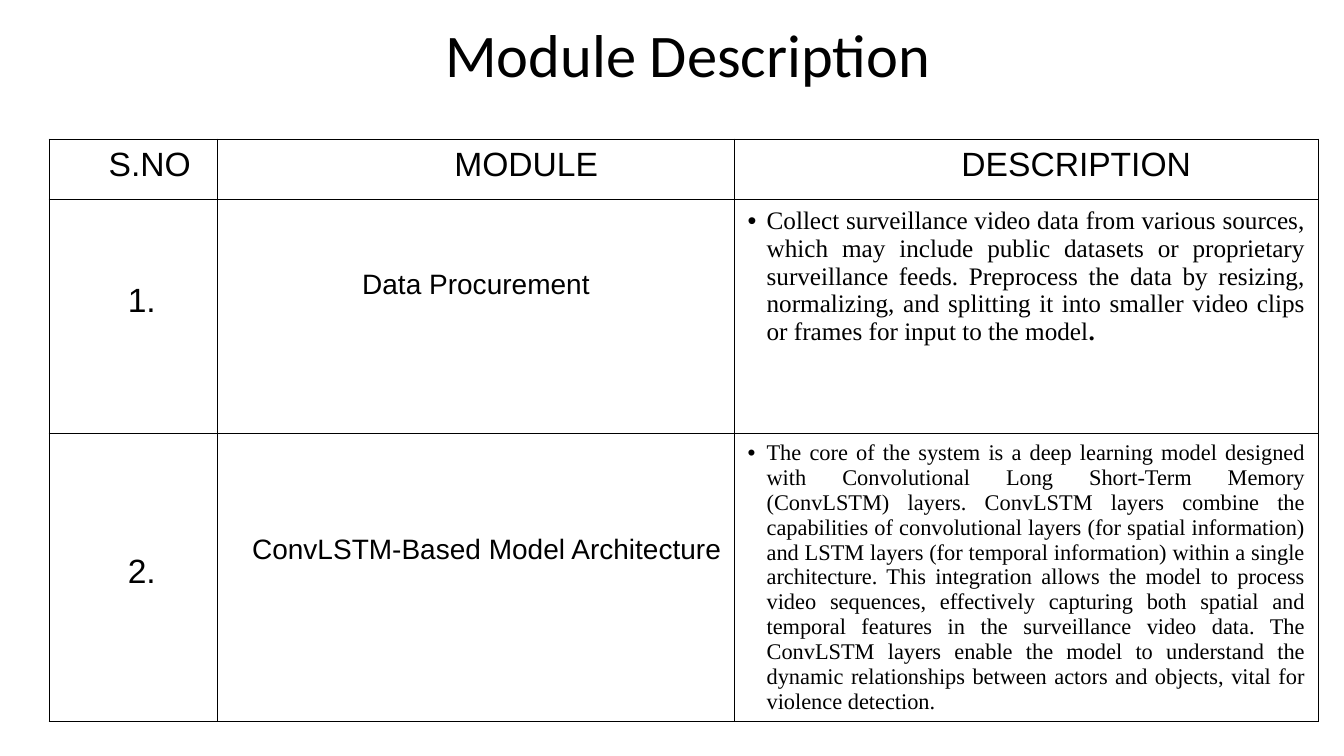
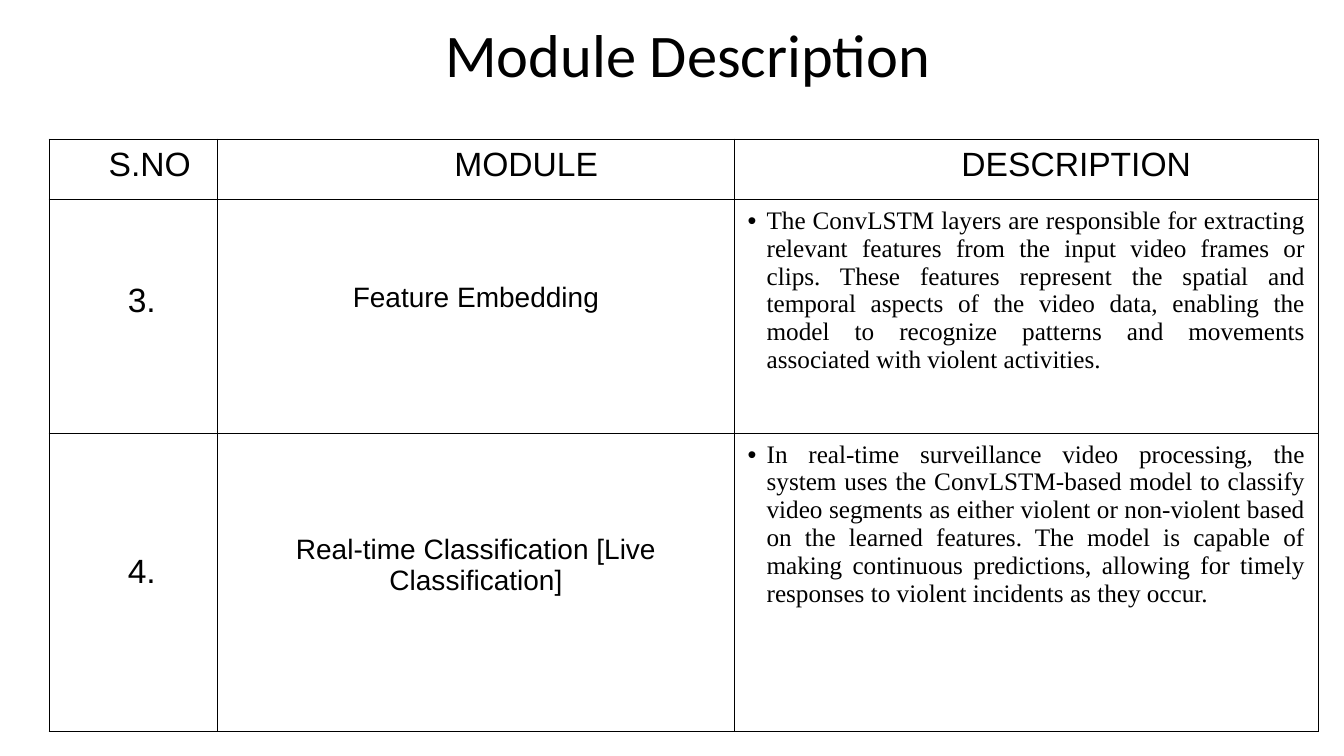
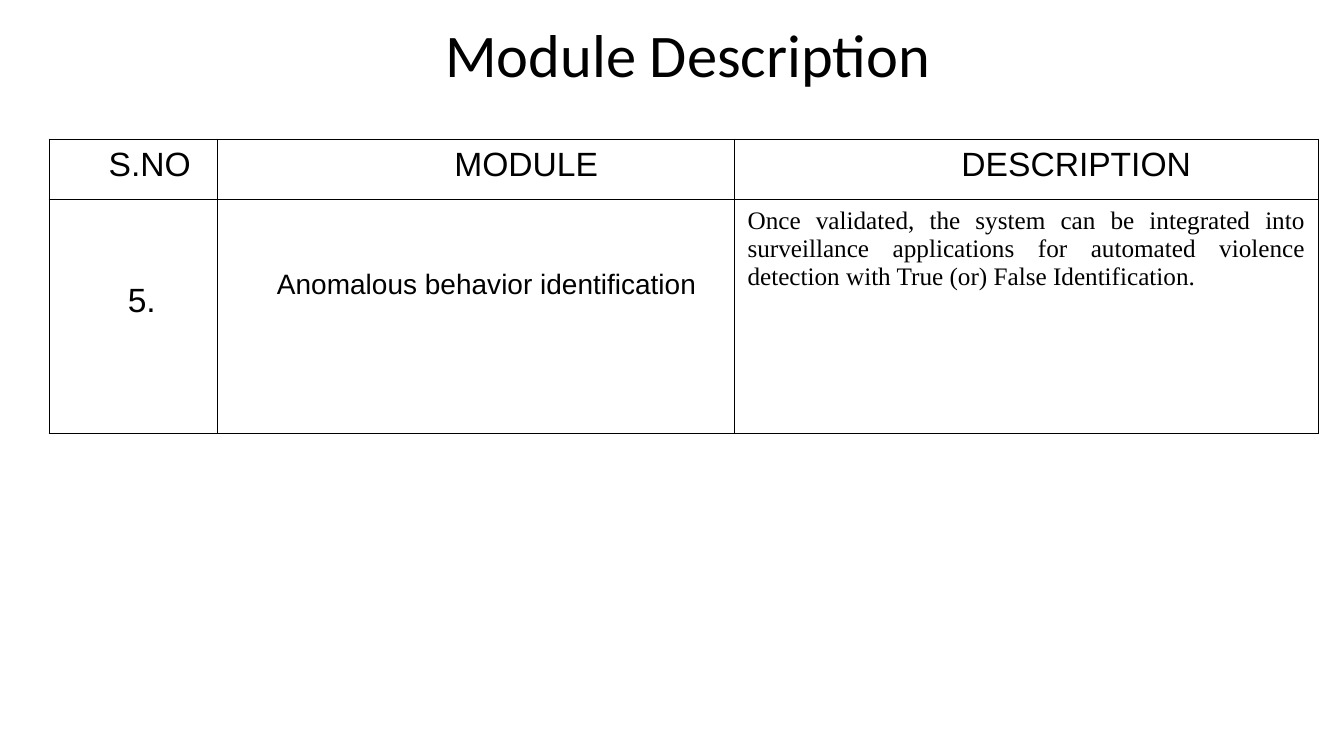
from dataclasses import dataclass

from lxml.etree import SubElement
from pptx import Presentation
from pptx.dml.color import RGBColor
from pptx.enum.text import MSO_ANCHOR, MSO_AUTO_SIZE, PP_ALIGN
from pptx.oxml.ns import qn
from pptx.util import Cm, Pt

BLACK = RGBColor(0x00, 0x00, 0x00)
WHITE = RGBColor(0xFF, 0xFF, 0xFF)

TITLE = "Module Description"
HEADINGS = [("S.NO", 1.5), ("MODULE", 5.97), ("DESCRIPTION", 5.72)]
COLUMN_WIDTHS = [4.24, 13.03, 14.71]
HEADING_HEIGHT = 1.52
NUMBER_TOPS = [2.07, 3.02]


@dataclass
class Module:
    number: str
    name: str
    name_top: float
    description: str
    height: float
    name_indent: float = 0
    description_size: int = 18
    bold_ending: str = ""
    bulleted: bool = True


SLIDES = [
    [
        Module(
            "1.", "Data Procurement", 1.76,
            "Collect surveillance video data from various sources, which may include "
            "public datasets or proprietary surveillance feeds. Preprocess the data by "
            "resizing, normalizing, and splitting it into smaller video clips or frames "
            "for input to the model",
            5.89, bold_ending=".",
        ),
        Module(
            "2.", "ConvLSTM-Based Model Architecture", 2.54,
            "The core of the system is a deep learning model designed with Convolutional "
            "Long Short-Term Memory (ConvLSTM) layers. ConvLSTM layers combine the "
            "capabilities of convolutional layers (for spatial information) and LSTM "
            "layers (for temporal information) within a single architecture. This "
            "integration allows the model to process video sequences, effectively "
            "capturing both spatial and temporal features in the surveillance video "
            "data. The ConvLSTM layers enable the model to understand the dynamic "
            "relationships between actors and objects, vital for violence detection.",
            7.23, name_indent=0.54, description_size=16,
        ),
    ],
    [
        Module(
            "3.", "Feature Embedding", 2.07,
            "The ConvLSTM layers are responsible for extracting relevant features from "
            "the input video frames or clips. These features represent the spatial and "
            "temporal aspects of the video data, enabling the model to recognize "
            "patterns and movements associated with violent activities.",
            5.89, name_indent=-0.2,
        ),
        Module(
            "4.", "Real-time Classification [Live Classification]", 2.54,
            "In real-time surveillance video processing, the system uses the "
            "ConvLSTM-based model to classify video segments as either violent or "
            "non-violent based on the learned features. The model is capable of making "
            "continuous predictions, allowing for timely responses to violent incidents "
            "as they occur.",
            7.52,
        ),
    ],
    [
        Module(
            "5.", "Anomalous behavior identification", 1.76,
            "Once validated, the system can be integrated into surveillance applications "
            "for automated violence detection with True (or) False Identification.",
            5.89, name_indent=0.54, bulleted=False,
        ),
    ],
]


class ModuleDeck:
    heading_font = "Calibri"
    label_font = "Arial"
    body_font = "Times New Roman"
    side_margin = 0.33
    top_margin = 0.18

    def __init__(self):
        self.presentation = Presentation()
        self.presentation.slide_width = Cm(33.87)
        self.presentation.slide_height = Cm(19.05)
        self.slide = None

    def add_slide(self):
        self.slide = self.presentation.slides.add_slide(self.presentation.slide_layouts[5])
        self.slide.background.fill.solid()
        self.slide.background.fill.fore_color.rgb = WHITE

    def style(self, paragraph, font_name, size, alignment=PP_ALIGN.LEFT):
        paragraph.alignment = alignment
        paragraph.font.name = font_name
        paragraph.font.size = Pt(size)
        paragraph.font.bold = False
        paragraph.font.color.rgb = BLACK

    def title(self, text):
        heading = self.slide.shapes.title
        heading.left, heading.top = Cm(2.41), Cm(0.61)
        heading.width, heading.height = Cm(29.85), Cm(1.7)
        frame = heading.text_frame
        frame.text = text
        frame.word_wrap = True
        frame.auto_size = MSO_AUTO_SIZE.NONE
        frame.vertical_anchor = MSO_ANCHOR.MIDDLE
        frame.margin_left = frame.margin_right = Cm(0.25)
        frame.margin_top = frame.margin_bottom = Cm(0.25)
        paragraph = frame.paragraphs[0]
        self.style(paragraph, self.heading_font, 43.2, PP_ALIGN.CENTER)
        paragraph.line_spacing = 0.9

    def border(self, cell):
        properties = cell._tc.get_or_add_tcPr()
        for side in ("a:lnL", "a:lnR", "a:lnT", "a:lnB"):
            line = SubElement(properties, qn(side), w=str(Pt(1)))
            fill = SubElement(line, qn("a:solidFill"))
            SubElement(fill, qn("a:srgbClr"), val=str(BLACK))

    def cell(self, cell, text, left=side_margin, top=top_margin):
        self.border(cell)
        cell.fill.background()
        cell.margin_left, cell.margin_right = Cm(left), Cm(self.side_margin)
        cell.margin_top, cell.margin_bottom = Cm(top), Cm(self.top_margin)
        cell.text = text
        return cell.text_frame.paragraphs[0]

    def label(self, cell, text, left, top=top_margin):
        self.style(self.cell(cell, text, left, top), self.label_font, 24)

    def module_name(self, cell, module):
        paragraph = self.cell(cell, module.name, top=module.name_top)
        self.style(paragraph, self.label_font, 20, PP_ALIGN.CENTER)
        paragraph._p.get_or_add_pPr().set("indent", str(Cm(module.name_indent)))

    def description(self, cell, module):
        paragraph = self.cell(cell, module.description)
        self.style(paragraph, self.body_font, module.description_size, PP_ALIGN.JUSTIFY)
        if module.bold_ending:
            ending = paragraph.add_run()
            ending.text = module.bold_ending
            ending.font.bold = True
        if module.bulleted:
            self.bullet(paragraph)

    def bullet(self, paragraph):
        properties = paragraph._p.get_or_add_pPr()
        properties.set("marL", str(Cm(0.48)))
        properties.set("indent", str(Cm(-0.48)))
        marker_font = properties.makeelement(qn("a:buFont"), {"typeface": self.label_font})
        marker = properties.makeelement(qn("a:buChar"), {"char": "•"})
        properties.insert(0, marker_font)
        properties.insert(1, marker)

    def module_table(self, modules):
        heights = [HEADING_HEIGHT] + [module.height for module in modules]
        table = self.slide.shapes.add_table(
            len(heights), len(COLUMN_WIDTHS), Cm(1.24), Cm(3.51),
            Cm(sum(COLUMN_WIDTHS)), Cm(sum(heights)),
        ).table
        table.first_row = table.horz_banding = False
        for column, width in zip(table.columns, COLUMN_WIDTHS):
            column.width = Cm(width)
        for row, height in zip(table.rows, heights):
            row.height = Cm(height)
        for column_index, (heading, left) in enumerate(HEADINGS):
            self.label(table.cell(0, column_index), heading, left)
        for row_index, (module, number_top) in enumerate(zip(modules, NUMBER_TOPS), 1):
            self.label(table.cell(row_index, 0), module.number, 1.98, number_top)
            self.module_name(table.cell(row_index, 1), module)
            self.description(table.cell(row_index, 2), module)


def main():
    deck = ModuleDeck()
    for modules in SLIDES:
        deck.add_slide()
        deck.title(TITLE)
        deck.module_table(modules)
    deck.presentation.save("out.pptx")


if __name__ == "__main__":
    main()
